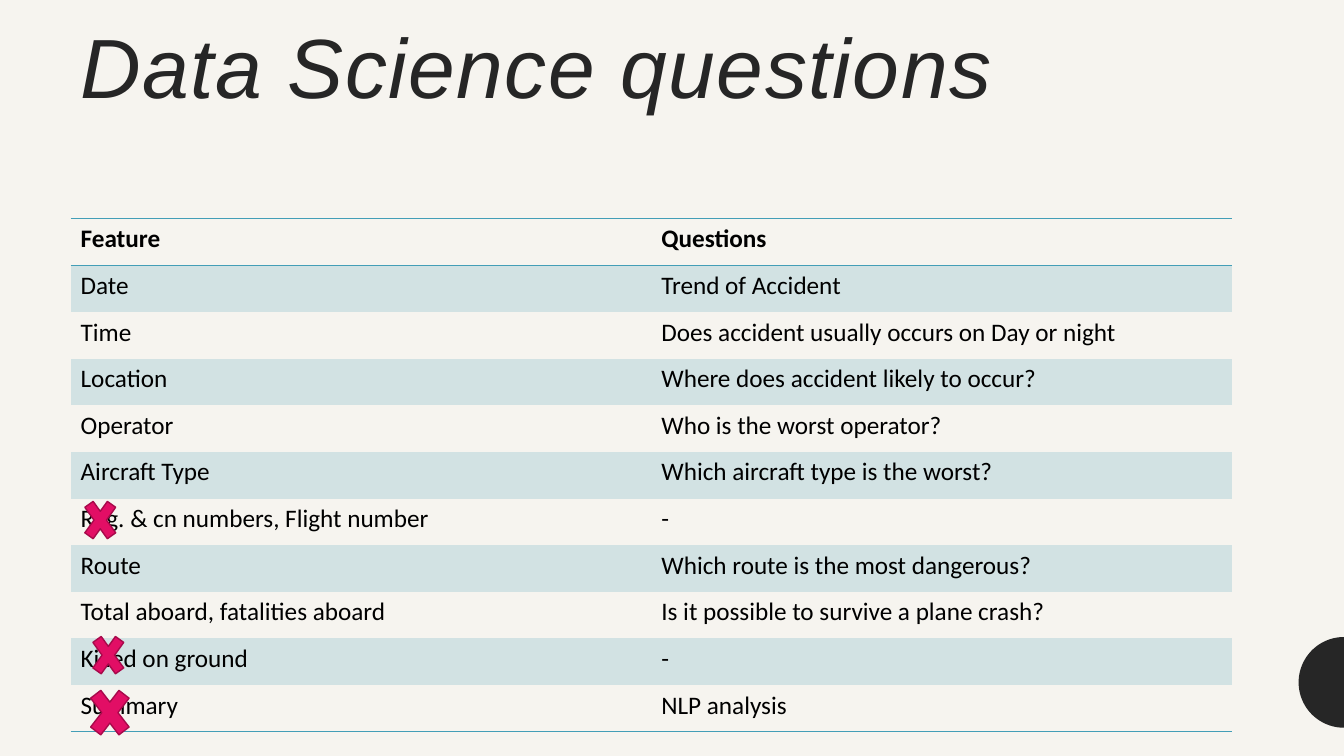
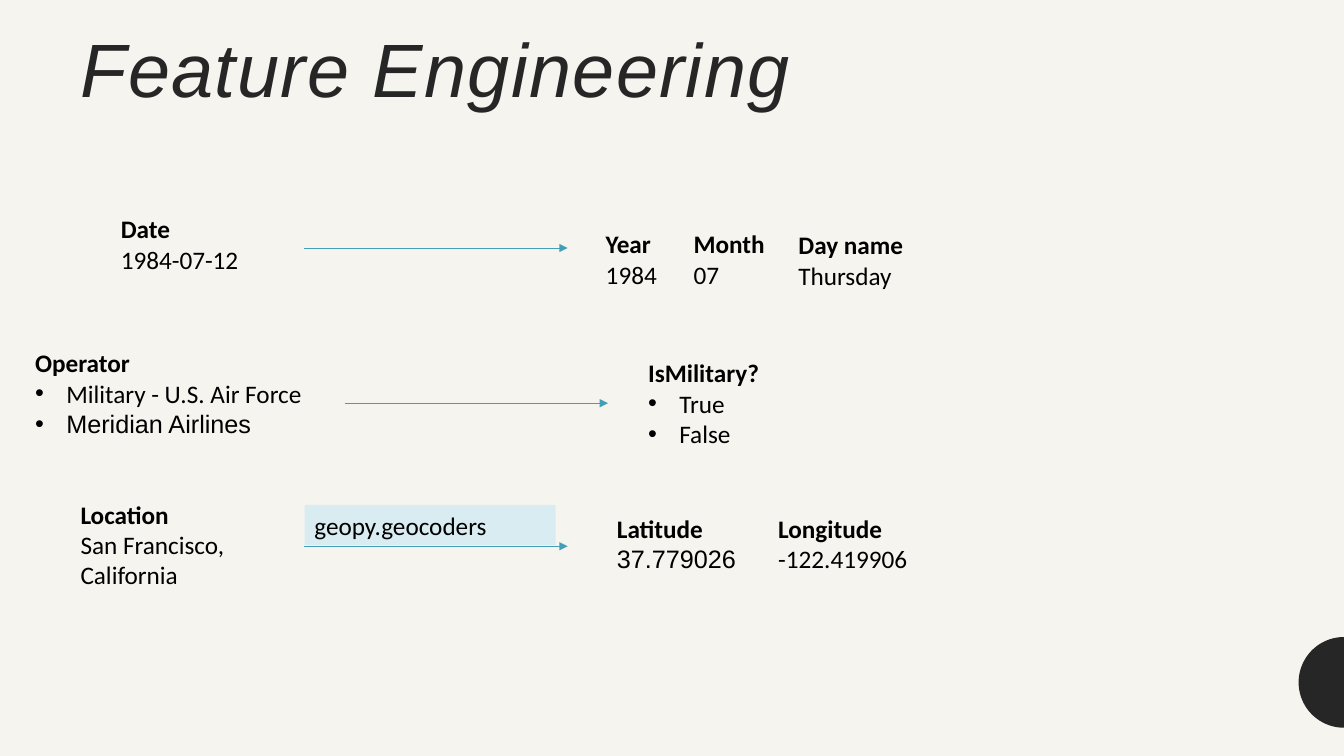
import math
from dataclasses import dataclass

from lxml import etree
from pptx import Presentation
from pptx.dml.color import RGBColor
from pptx.enum import shapes, text
from pptx.oxml import ns
from pptx.util import Inches, Pt


@dataclass(frozen=True)
class Theme:
    paper: RGBColor = RGBColor(0xF6, 0xF4, 0xEF)
    ink: RGBColor = RGBColor(0x26, 0x26, 0x26)
    body: RGBColor = RGBColor(0, 0, 0)
    accent: RGBColor = RGBColor(0x43, 0x9E, 0xB7)
    band: RGBColor = RGBColor(0xD2, 0xE2, 0xE3)
    tint: RGBColor = RGBColor(0xD9, 0xEC, 0xF1)
    cross: RGBColor = RGBColor(0xE2, 0x0E, 0x65)
    cross_edge: RGBColor = RGBColor(0xA7, 0x0A, 0x4B)
    title_font: str = "Arial"
    body_font: str = "Calibri"
    body_size: int = 18
    table_title_size: int = 60
    diagram_title_size: int = 54


THEME = Theme()

QUESTIONS = [
    ("Feature", "Questions"),
    ("Date", "Trend of Accident"),
    ("Time", "Does accident usually occurs on Day or night"),
    ("Location", "Where does accident likely to occur?"),
    ("Operator", "Who is the worst operator?"),
    ("Aircraft Type", "Which aircraft type is the worst?"),
    ("Reg. & cn numbers, Flight number", "-"),
    ("Route", "Which route is the most dangerous?"),
    ("Total aboard, fatalities aboard", "Is it possible to survive a plane crash?"),
    ("Killed on ground", "-"),
    ("Summary", "NLP analysis"),
]

CROSSES = [(0.86, 6.2, 0.43, 0.6), (0.82, 6.72, 0.54, 0.7), (0.78, 4.86, 0.43, 0.6)]

PLAIN_FEATURES = [
    ((1.1, 2.07, 1.64, 0.71), "Date", "1984-07-12", THEME.body_font),
    ((5.91, 2.22, 0.84, 1.01), "Year", "1984", THEME.body_font),
    ((6.78, 2.22, 1.18, 1.01), "Month", "07", THEME.body_font),
    ((7.82, 2.23, 1.45, 0.71), "Day name", "Thursday", THEME.body_font),
    ((0.7, 4.9, 2.58, 1.01), "Location", "San Francisco, California", THEME.body_font),
    ((6.02, 5.04, 1.6, 1.01), "Latitude", "37.779026", THEME.title_font),
    ((7.62, 5.04, 1.86, 1.31), "Longitude", "-122.419906", THEME.body_font),
]

LISTED_FEATURES = [
    ((0.25, 3.4, 3.64, 1.01), "Operator",
     [("Military - U.S. Air Force", THEME.body_font),
      ("Meridian Airlines", THEME.title_font)]),
    ((6.33, 3.5, 1.86, 1.01), "IsMilitary?",
     [("True", THEME.body_font), ("False", THEME.body_font)]),
]

ARROWS = [(3.02, 2.46), (3.42, 4), (3.02, 5.42)]
ARROW_LENGTH = 2.61


def inches(box):
    return [Inches(length) for length in box]


def style(paragraph, font=THEME.body_font, size=THEME.body_size,
          color=THEME.body, bold=False, italic=False):
    paragraph.font.name = font
    paragraph.font.size = Pt(size)
    paragraph.font.bold = bold
    paragraph.font.italic = italic
    paragraph.font.color.rgb = color


def add_edge_disc(slide, center_x=13.33, center_y=6.77, radius=0.45, steps=48):
    angles = [math.pi * (0.5 + step / steps) for step in range(steps + 1)]
    points = [(Inches(center_x + radius * math.cos(angle)),
               Inches(center_y + radius * math.sin(angle))) for angle in angles]
    builder = slide.shapes.build_freeform(*points[0])
    builder.add_line_segments(points[1:], close=True)
    disc = builder.convert_to_shape()
    disc.shadow.inherit = False
    disc.fill.solid()
    disc.fill.fore_color.rgb = THEME.ink
    disc.line.fill.background()


def add_titled_slide(deck, heading, box, size):
    slide = deck.slides.add_slide(deck.slide_layouts[5])
    add_edge_disc(slide)
    title = slide.shapes.title
    title.left, title.top, title.width, title.height = inches(box)
    frame = title.text_frame
    frame.text = heading
    frame.auto_size = text.MSO_AUTO_SIZE.NONE
    frame.vertical_anchor = text.MSO_ANCHOR.TOP
    frame.margin_top = Inches(0.1)
    paragraph = frame.paragraphs[0]
    paragraph.alignment = text.PP_ALIGN.LEFT
    paragraph.line_spacing = 0.9
    style(paragraph, THEME.title_font, size, THEME.ink, italic=True)
    for properties in title.element.iter(ns.qn("a:defRPr")):
        properties.set("spc", "100")
    return slide


def add_rule(properties, side):
    rule = etree.Element(ns.qn(f"a:ln{side}"), w=str(Pt(1)))
    solid = etree.SubElement(rule, ns.qn("a:solidFill"))
    etree.SubElement(solid, ns.qn("a:srgbClr"), val=str(THEME.accent))
    properties.insert(0, rule)


def add_question_table(slide):
    columns = len(QUESTIONS[0])
    frame = slide.shapes.add_table(
        len(QUESTIONS), columns, *inches((0.7, 2.17, 11.52, 5.09)))
    frame.table.horz_banding = False
    no_grid = "{2D5ABB26-0587-4C30-8999-92F81FD0307C}"
    next(frame.element.iter(ns.qn("a:tableStyleId"))).text = no_grid
    for row, entries in enumerate(QUESTIONS):
        for column, entry in enumerate(entries):
            cell = frame.table.cell(row, column)
            cell.text = entry
            style(cell.text_frame.paragraphs[0], bold=row == 0)
            if row % 2:
                cell.fill.solid()
                cell.fill.fore_color.rgb = THEME.band
            else:
                cell.fill.background()
    cells = list(frame.element.iter(ns.qn("a:tcPr")))
    header, summary = cells[:columns], cells[-columns:]
    for properties in header + summary:
        add_rule(properties, "B")
    for properties in header:
        add_rule(properties, "T")


def add_cross(slide, box):
    cross = slide.shapes.add_shape(shapes.MSO_SHAPE.MATH_MULTIPLY, *inches(box))
    cross.shadow.inherit = False
    cross.fill.solid()
    cross.fill.fore_color.rgb = THEME.cross
    cross.line.color.rgb = THEME.cross_edge
    cross.line.width = Pt(1)


def add_feature(slide, box, heading, values, bulleted=False):
    feature = slide.shapes.add_textbox(*inches(box))
    frame = feature.text_frame
    frame.word_wrap = True
    frame.text = heading
    style(frame.paragraphs[0], bold=True)
    for value, font in values:
        paragraph = frame.add_paragraph()
        paragraph.text = value
        style(paragraph, font)
    if bulleted:
        for properties in list(feature.element.iter(ns.qn("a:pPr")))[1:]:
            properties.set("marL", str(Inches(0.31)))
            properties.set("indent", str(-Inches(0.31)))
            properties.insert(0, etree.Element(ns.qn("a:buFont"), typeface="Arial"))
            properties.insert(1, etree.Element(ns.qn("a:buChar"), char="•"))


def add_arrow(slide, left, top):
    arrow = slide.shapes.add_connector(
        shapes.MSO_CONNECTOR.STRAIGHT,
        *inches((left, top, left + ARROW_LENGTH, top)))
    arrow.line.color.rgb = THEME.accent
    arrow.line.width = Pt(0.5)
    outline = next(arrow.element.iter(ns.qn("a:ln")))
    etree.SubElement(outline, ns.qn("a:tailEnd"), type="triangle")
    etree.SubElement(arrow.element.spPr, ns.qn("a:effectLst"))


def add_tool_label(slide, box, label):
    tool = slide.shapes.add_shape(shapes.MSO_SHAPE.RECTANGLE, *inches(box))
    tool.shadow.inherit = False
    tool.fill.solid()
    tool.fill.fore_color.rgb = THEME.tint
    tool.line.fill.background()
    tool.text_frame.text = label
    paragraph = tool.text_frame.paragraphs[0]
    paragraph.alignment = text.PP_ALIGN.LEFT
    style(paragraph)


def main():
    deck = Presentation()
    deck.slide_width, deck.slide_height = inches((13.33, 7.5))
    paper = deck.slide_master.background.fill
    paper.solid()
    paper.fore_color.rgb = THEME.paper

    questions = add_titled_slide(deck, "Data Science questions",
                                 (0.7, 0.16, 9.73, 1.84), THEME.table_title_size)
    add_question_table(questions)
    for box in CROSSES:
        add_cross(questions, box)

    engineering = add_titled_slide(deck, "Feature Engineering",
                                   (0.7, 0.22, 11.54, 0.62), THEME.diagram_title_size)
    for box, heading, value, font in PLAIN_FEATURES:
        add_feature(engineering, box, heading, [(value, font)])
    for box, heading, values in LISTED_FEATURES:
        add_feature(engineering, box, heading, values, bulleted=True)
    for left, top in ARROWS:
        add_arrow(engineering, left, top)
    add_tool_label(engineering, (3.02, 5.01, 2.49, 0.4), "geopy.geocoders")

    deck.save("out.pptx")


if __name__ == "__main__":
    main()
